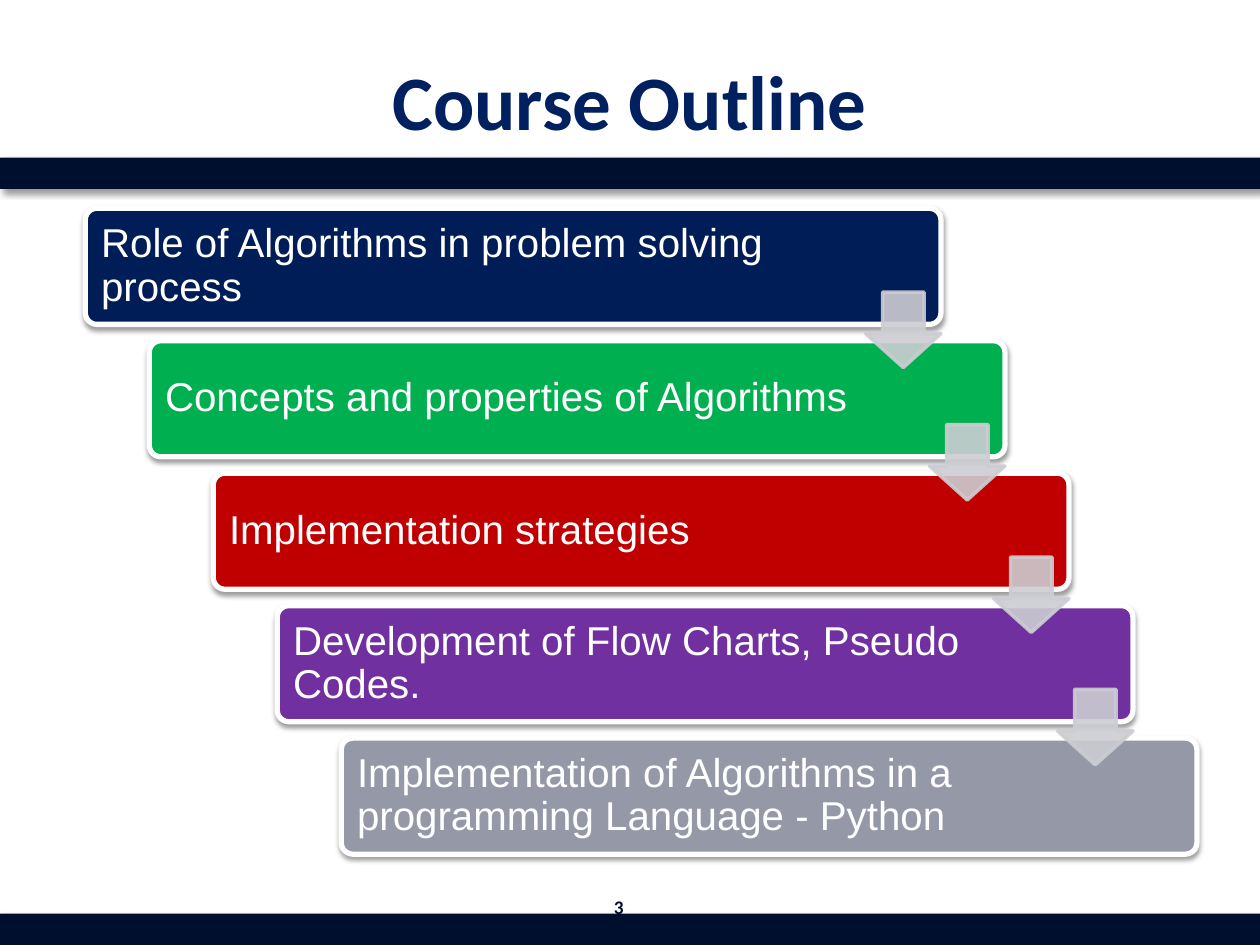
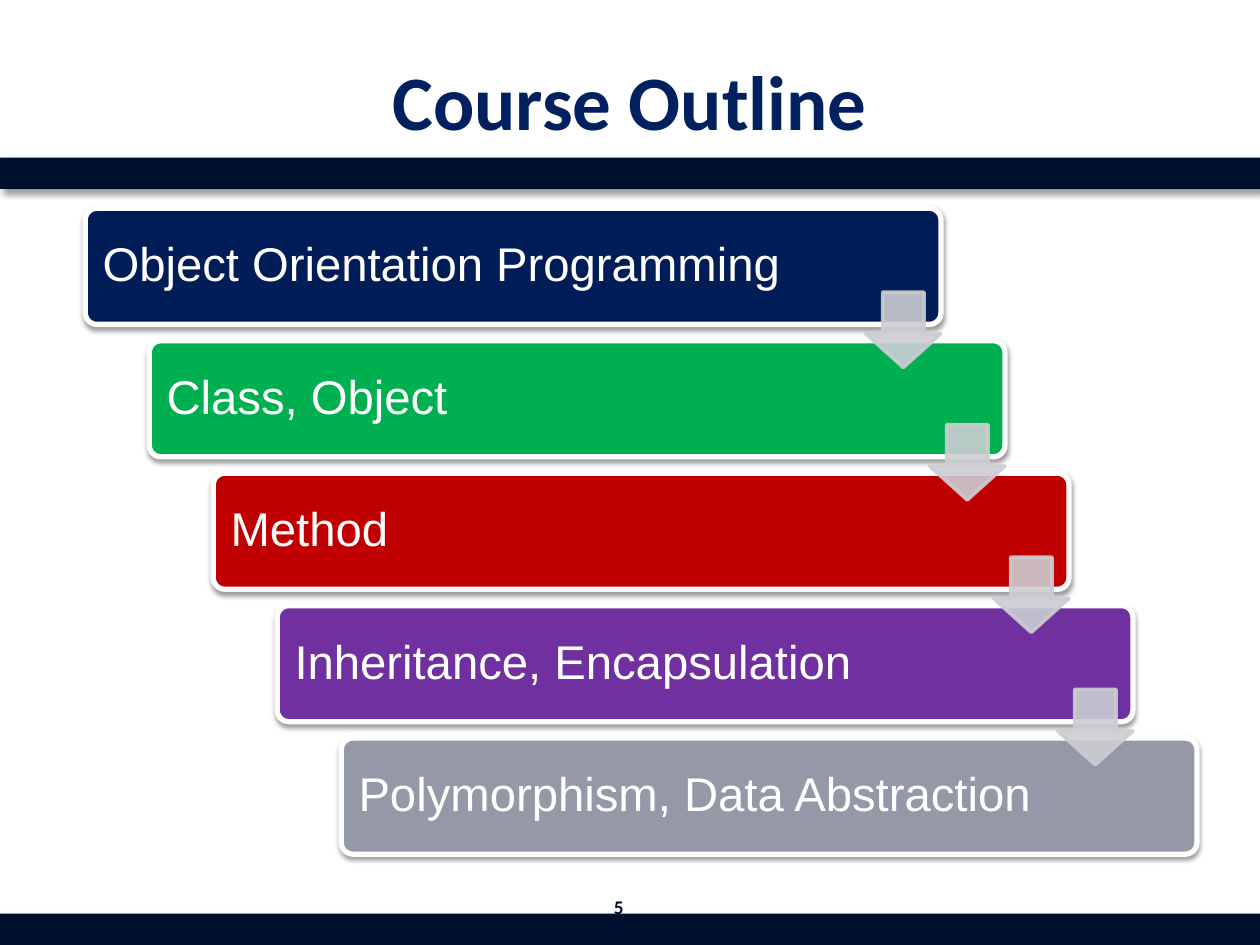
"""Build two course outline slides, each a staircase of topic cards joined by arrows."""
from lxml import etree
from pptx import Presentation
from pptx.dml.color import RGBColor
from pptx.enum.shapes import MSO_SHAPE
from pptx.enum.text import MSO_ANCHOR, PP_ALIGN
from pptx.oxml.ns import qn
from pptx.util import Cm, Pt

RECT, CARD, ARROW = MSO_SHAPE.RECTANGLE, MSO_SHAPE.ROUNDED_RECTANGLE, MSO_SHAPE.DOWN_ARROW
MIDDLE, LEFT, CENTER = MSO_ANCHOR.MIDDLE, PP_ALIGN.LEFT, PP_ALIGN.CENTER

BAND, TITLE, WHITE, ARROW_GREY = "000F2E", "002060", "FFFFFF", "CCCDD2"
CARD_COLORS = ["001D57", "00B050", "C00000", "7030A0", "9598A7"]
STEP_X, STEP_Y = 1.29, 2.67

SLIDES = [
    ("3", 23, 0.25, [
        "Role of Algorithms in problem solving process",
        "Concepts and properties of Algorithms",
        "Implementation strategies",
        "Development of Flow Charts, Pseudo Codes.",
        "Implementation of Algorithms in a programming Language - Python",
    ]),
    ("5", 27, 0.28, [
        "Object Orientation Programming",
        "Class, Object",
        "Method",
        "Inheritance, Encapsulation",
        "Polymorphism, Data Abstraction",
    ]),
]


def rgb(color):
    return RGBColor.from_string(color)


def add_block(s, kind, box, color, line=None, shadow=None, alpha=None):
    sp = s.shapes.add_shape(kind, *map(Cm, box))
    sp.fill.solid()
    sp.fill.fore_color.rgb = rgb(color)
    if line:
        sp.line.color.rgb = rgb(line[0])
        sp.line.width = Pt(line[1])
    else:
        sp.line.fill.background()
    sp.shadow.inherit = False
    sp_pr = sp.element.spPr
    if alpha:
        for clr in sp_pr.iter(qn("a:srgbClr")):
            etree.SubElement(clr, qn("a:alpha"), val=str(alpha * 1000))
    if shadow:
        opacity, blur, dist, angle = shadow
        shdw = etree.SubElement(
            sp_pr.find(qn("a:effectLst")), qn("a:outerShdw"), blurRad=str(Pt(blur)),
            dist=str(Pt(dist)), dir=str(angle * 60000), rotWithShape="0")
        clr = etree.SubElement(shdw, qn("a:srgbClr"), val="000000")
        etree.SubElement(clr, qn("a:alpha"), val=str(opacity * 1000))
    return sp


prs = Presentation()
prs.slide_width, prs.slide_height = Cm(25.4), Cm(19.05)

for number, size, inset, topics in SLIDES:
    s = prs.slides.add_slide(prs.slide_layouts[6])

    for top in (18.42, 3.18):
        add_block(s, RECT, (0, top, 25.4, 0.63), BAND, shadow=(40, 4, 3, 45))

    for text, box, points, color in [
        ("Course Outline", (1.27, 0.43, 22.86, 3.18), 44, TITLE),
        (number, (11.94, 17.78, 1.07, 1.02), 11, BAND),
    ]:
        tf = s.shapes.add_textbox(*map(Cm, box)).text_frame
        tf.word_wrap = True
        tf.vertical_anchor = MIDDLE
        p = tf.paragraphs[0]
        p.text = text
        p.alignment = CENTER
        p.font.name, p.font.size, p.font.bold = "Calibri", Pt(points), True
        p.font.color.rgb = rgb(color)

    for i, (topic, color) in enumerate(zip(topics, CARD_COLORS)):
        box = (1.72 + i * STEP_X, 4.2 + i * STEP_Y, 17.25, 2.34)
        sp = add_block(s, CARD, box, color, line=(WHITE, 3), shadow=(38, 3.1, 1.6, 90))
        sp.adjustments[0] = 0.1
        tf = sp.text_frame
        tf.word_wrap = True
        tf.vertical_anchor = MIDDLE
        tf.margin_left = tf.margin_top = tf.margin_bottom = Cm(inset)
        tf.margin_right = Cm(3.05)
        p = tf.paragraphs[0]
        p.text = topic
        p.alignment = LEFT
        p.line_spacing = 0.9
        p.font.name, p.font.size = "Arial", Pt(size)
        p.font.color.rgb = rgb(WHITE)

    for i in range(len(topics) - 1):
        box = (17.45 + i * STEP_X, 5.89 + i * STEP_Y, 1.52, 1.52)
        sp = add_block(s, ARROW, box, ARROW_GREY, line=(ARROW_GREY, 2), alpha=90)
        sp.adjustments[0], sp.adjustments[1] = 0.55, 0.45

prs.save("out.pptx")
